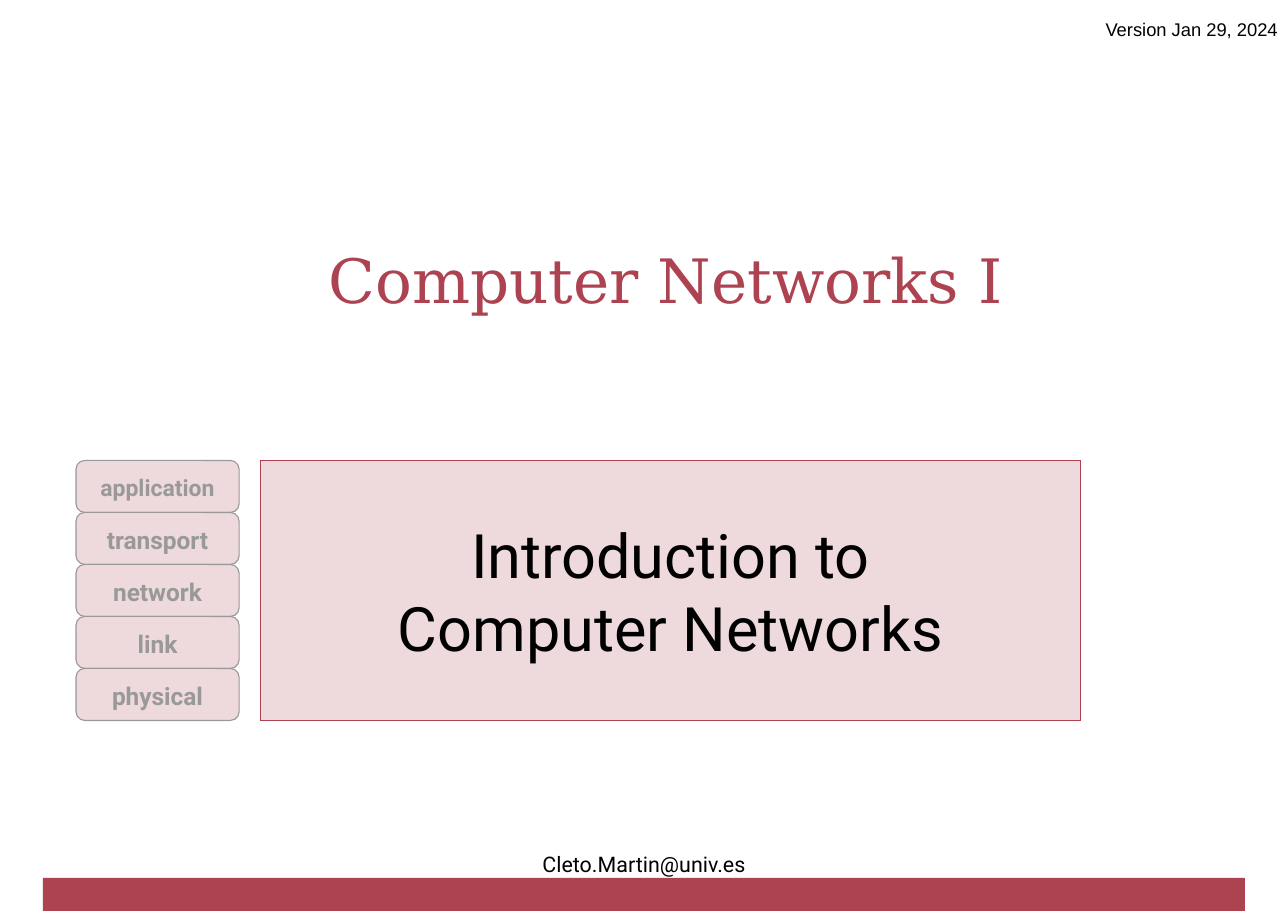
from dataclasses import dataclass

from pptx import Presentation
from pptx import util as u
from pptx.dml.color import RGBColor
from pptx.enum import shapes, text


@dataclass(frozen=True)
class Theme:
    crimson: str = "AD4251"
    blush: str = "EED9DC"
    grey: str = "999999"
    black: str = "000000"
    sans: str = "Roboto"
    serif: str = "DejaVu Serif"
    plain: str = "Arial"
    heading: int = 40
    layer: int = 16
    long_layer: int = 15
    contact: int = 14
    version: int = 12


THEME = Theme()
LAYERS = ["application", "transport", "network", "link", "physical"]
BAND_TOP, BAND_HEIGHT = 4.18, 2.36


def inches(*lengths):
    return [u.Inches(n) for n in lengths]


def write(s, words, *, size, font=THEME.sans, color=THEME.black, bold=False,
          align=text.PP_ALIGN.CENTER, anchor=text.MSO_ANCHOR.TOP,
          margins=(0, 0, 0, 0), spacing=1.0, before=0):
    tf = s.text_frame
    tf.word_wrap = True
    tf.auto_size = text.MSO_AUTO_SIZE.NONE
    tf.vertical_anchor = anchor
    tf.margin_left, tf.margin_top, tf.margin_right, tf.margin_bottom = inches(*margins)
    p = tf.paragraphs[0]
    p.text = words
    p.alignment = align
    p.line_spacing = spacing
    p.space_before = u.Pt(before)
    for r in p.runs:
        r.font.name = font
        r.font.size = u.Pt(size)
        r.font.bold = bold
        r.font.color.rgb = RGBColor.from_string(color)


def paint(s, fill, line=None):
    s.fill.solid()
    s.fill.fore_color.rgb = RGBColor.from_string(fill)
    if line:
        s.line.color.rgb = RGBColor.from_string(line)
        s.line.width = u.Pt(0)
    else:
        s.line.fill.background()


def add_label(sp, box, words, **style):
    write(sp.add_textbox(*inches(*box)), words, **style)


def add_block(sp, kind, box, fill, line=None):
    s = sp.add_shape(kind, *inches(*box))
    s.shadow.inherit = False
    paint(s, fill, line)
    return s


def add_topic(s, box, words):
    s.left, s.top, s.width, s.height = inches(*box)
    paint(s, THEME.blush, THEME.crimson)
    write(s, words, size=THEME.heading, anchor=text.MSO_ANCHOR.MIDDLE,
          margins=(0.1, 0.05, 0.1, 0.05))


def add_layer_stack(sp, left, width):
    height = BAND_HEIGHT / len(LAYERS)
    for i, name in enumerate(LAYERS):
        s = add_block(sp, shapes.MSO_SHAPE.ROUNDED_RECTANGLE,
                      (left, BAND_TOP + i * height, width, height),
                      THEME.blush, THEME.grey)
        size = THEME.long_layer if name == "application" else THEME.layer
        write(s, name, size=size, color=THEME.grey, bold=True,
              anchor=text.MSO_ANCHOR.MIDDLE, spacing=1.08)


def main():
    prs = Presentation()
    prs.slide_width, prs.slide_height = inches(11.69, 8.27)
    slide = prs.slides.add_slide(prs.slide_layouts[5])
    sp = slide.shapes

    add_label(sp, (9.99, 0.15, 1.61, 0.23), "Version Jan 29, 2024",
              size=THEME.version, font=THEME.plain,
              align=text.PP_ALIGN.RIGHT, spacing=1.08)
    add_label(sp, (0.98, 2.15, 9.92, 0.86), "Computer Networks I",
              size=THEME.heading, font=THEME.serif, color=THEME.crimson,
              margins=(0.3, 0.05, 0.1, 0.05), before=5)
    add_block(sp, shapes.MSO_SHAPE.RECTANGLE, (0.39, 7.97, 10.91, 0.3), THEME.crimson)
    add_topic(sp.title, (2.36, BAND_TOP, 7.45, BAND_HEIGHT),
              "Introduction to\vComputer Networks")
    add_layer_stack(sp, 0.69, 1.48)
    add_label(sp, (4.42, 7.71, 2.85, 0.22), "Cleto.Martin@univ.es",
              size=THEME.contact, spacing=1.08)

    prs.save("out.pptx")


if __name__ == "__main__":
    main()
